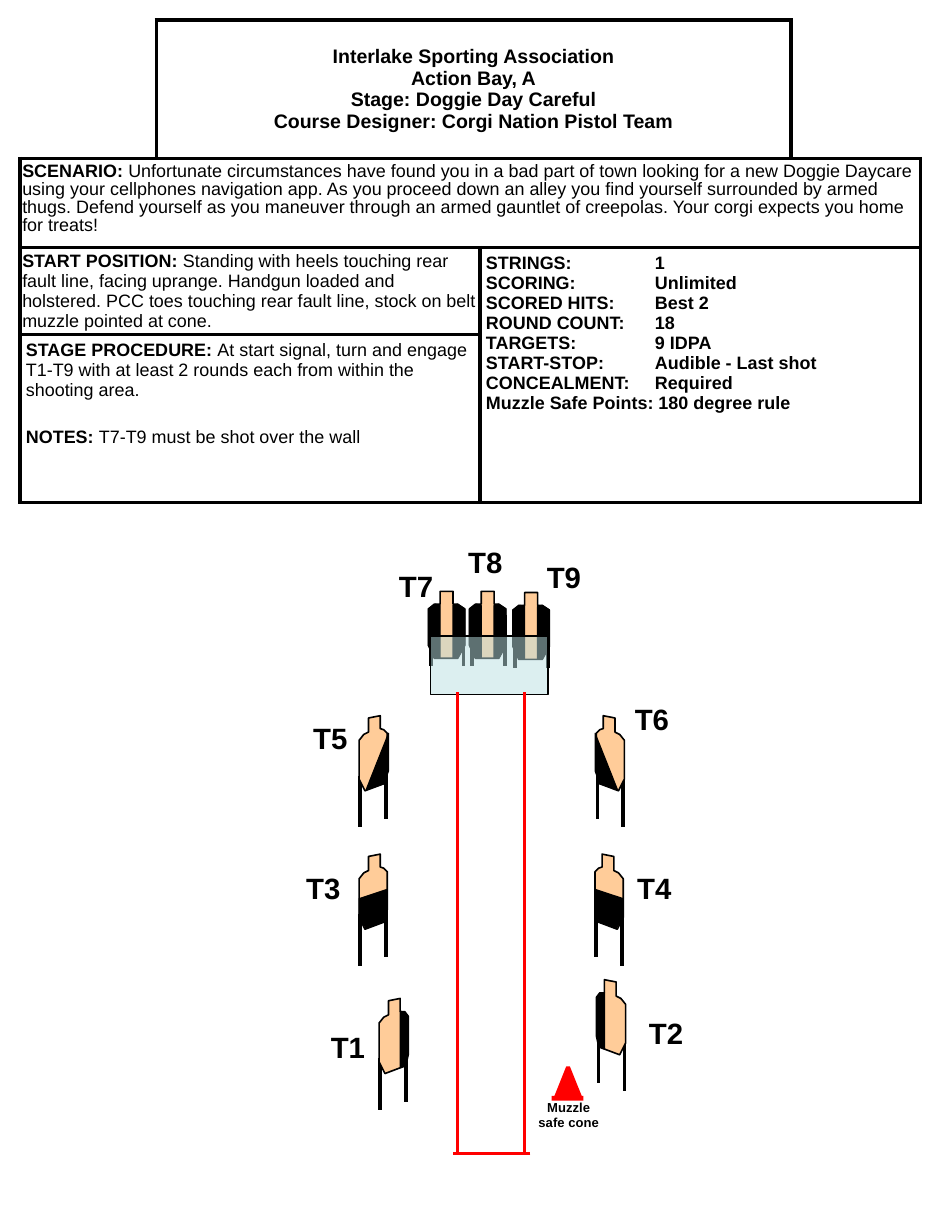
from lxml.etree import SubElement
from pptx import Presentation
from pptx.dml.color import RGBColor
from pptx.enum.shapes import MSO_CONNECTOR, MSO_SHAPE
from pptx.enum.text import MSO_ANCHOR, PP_ALIGN
from pptx.oxml import parse_xml
from pptx.oxml.ns import nsdecls, qn
from pptx.util import Pt

SCALE = 9144  # EMU in one px, at 100 px to the inch
BLACK, WHITE, RED = "000000", "FFFFFF", "FF0000"
TAN, GLASS = "FFCC99", "BBE0E3"


def color(code):
    return RGBColor.from_string(code)


def emu(*sizes):
    return [size * SCALE for size in sizes]


def flip(points, width):
    return [(width - x, y) for x, y in points]


class Sheet:
    font = {"name": "Arial", "bold": True}

    def __init__(self, slide):
        self.slide = slide
        self.home = slide.shapes

    def group(self):
        """Send the next shapes into a new group."""
        self.home = self.slide.shapes.add_group_shape().shapes

    def leave(self):
        """Send the next shapes straight to the slide."""
        self.home = self.slide.shapes

    def run(self, para, text, **style):
        run = para.add_run()
        run.text = text
        for key, value in {**self.font, **style}.items():
            setattr(run.font, key, value)
        run.font.color.rgb = color(BLACK)

    def paint(self, shape, fill, line=None, width=0):
        shape.shadow.inherit = False
        shape.fill.solid()
        shape.fill.fore_color.rgb = color(fill)
        if line is None:
            shape.line.fill.background()
        else:
            shape.line.color.rgb = color(line)
            shape.line.width = Pt(width)

    def shape(self, kind, box, fill, line=None, width=0):
        shape = self.home.add_shape(kind, *emu(*box))
        self.paint(shape, fill, line, width)
        return shape

    def line(self, start, end, code, width):
        line = self.home.add_connector(MSO_CONNECTOR.STRAIGHT, *emu(*start, *end))
        line.line.color.rgb = color(code)
        line.line.width = Pt(width)
        SubElement(line._element.spPr, qn("a:effectLst"))

    def free(self, left, top, points, fill, width):
        spots = [(left + x, top + y) for x, y in points]
        form = self.home.build_freeform(*spots[0], scale=SCALE)
        form.add_line_segments(spots[1:], close=True)
        self.paint(form.convert_to_shape(), fill, BLACK, width)

    def label(self, box, text, size, align=PP_ALIGN.LEFT):
        frame = self.home.add_textbox(*emu(*box)).text_frame
        frame.word_wrap = True
        frame.paragraphs[0].alignment = align
        self.run(frame.paragraphs[0], text, size=Pt(size))

    def target(self, left, top, body, dark, legs):
        """Draw a target: legs at the back, then the body and its dark parts."""
        self.group()
        for x, y in legs:
            self.line((left + x, top + y), (left + x, top + y + 44), BLACK, 2.25)
        self.free(left, top, body, TAN, 1)
        for part in dark:
            self.free(left, top, part, BLACK, 0)
        self.leave()

    def table(self, box, cols, rows):
        table = self.home.add_table(len(rows), len(cols), *emu(*box)).table
        table.first_row = table.horz_banding = False
        for col, size in zip(table.columns, emu(*cols)):
            col.width = size
        for row, size in zip(table.rows, emu(*rows)):
            row.height = size
        return table

    def border(self, cell, sides="LRTB"):
        cell.fill.solid()
        cell.fill.fore_color.rgb = color(WHITE)
        props = cell._tc.get_or_add_tcPr()
        for spot, side in enumerate("LRTB"):
            ink = f'<a:solidFill><a:srgbClr val="{BLACK}"/></a:solidFill>'
            fill = ink if side in sides else "<a:noFill/>"
            props.insert(spot, parse_xml(
                f'<a:ln{side} {nsdecls("a")} w="{Pt(2.25)}">{fill}</a:ln{side}>'))

    def prose(self, cell, paras, inset, size=11, gap=0, tab=0, **style):
        """Fill a cell; each paragraph is a list of (text, bold) runs."""
        for side, margin in zip(("left", "right", "top", "bottom"), emu(*inset)):
            setattr(cell, f"margin_{side}", margin)
        frame = cell.text_frame
        for spot, runs in enumerate(paras):
            para = frame.add_paragraph() if spot else frame.paragraphs[0]
            if tab:
                stops = SubElement(para._p.get_or_add_pPr(), qn("a:tabLst"))
                SubElement(stops, qn("a:tab"), pos=str(tab * SCALE), algn="l")
            if spot and gap:
                para.space_before = Pt(gap)
            for key, value in style.items():
                setattr(para, key, value)
            for text, bold in runs:
                self.run(para, text, size=Pt(size), bold=bold)


HEAD = ["Interlake Sporting Association", "Action Bay, A",
        "Stage: Doggie Day Careful", "Course Designer: Corgi Nation Pistol Team"]
SCENE = [("SCENARIO: ", True), (
    "Unfortunate circumstances have found you in a bad part of town looking for a new "
    "Doggie Daycare using your cellphones navigation app. As you proceed down an alley "
    "you find yourself surrounded by armed thugs. Defend yourself as you maneuver through "
    "an armed gauntlet of creepolas. Your corgi expects you home for treats!", False)]
START = [("START POSITION: ", True), (
    "Standing with heels touching rear fault line, facing uprange. Handgun loaded and "
    "holstered. PCC toes touching rear fault line, stock on belt muzzle pointed at cone.",
    False)]
STEPS = [("STAGE PROCEDURE: ", True), (
    "At start signal, turn and engage T1-T9 with at least 2 rounds each from within the "
    "shooting area.", False)]
NOTES = [("NOTES: ", True), ("T7-T9 must be shot over the wall", False)]
FACTS = ["STRINGS:\t1", "SCORING:\tUnlimited", "SCORED HITS:\tBest 2", "ROUND COUNT:\t18",
         "TARGETS:\t9 IDPA", "START-STOP:\tAudible - Last shot", "CONCEALMENT:\tRequired",
         "Muzzle Safe Points: 180 degree rule"]

FRONT = [(10, 0), (21, 0), (21, 11), (25, 11), (31, 15), (31, 46),
         (25, 57), (5, 57), (0, 46), (0, 15), (5, 11), (10, 11)]
EDGE = [(21, 12), (21, 57), (25, 57), (31, 46), (31, 15), (25, 11)]
SIDE = [(8, 2), (18, 0), (18, 11), (21, 12), (24, 15), (24, 47),
        (21, 58), (5, 64), (0, 54), (0, 21), (4, 16), (8, 14)]
HALF = [(0, 54), (6, 63), (20, 58), (24, 46), (24, 30), (0, 38)]
SLANT = [(6, 63), (21, 58), (25, 47), (25, 15)]
STRIP = [(25, 48), (23, 57), (18, 59), (18, 11), (22, 11), (25, 15)]
LEGS = [(1, 51), (23, 44)]
# dark part, left target, right target
PAIRS = [(HALF, (306, 728), (506, 728)), (STRIP, (323, 851), (508, 835)),
         (SLANT, (306, 610), (507, 610))]
TAGS = [(272, 872), (543, 860), (251, 737), (533, 737), (257, 609),
        (531, 593), (330, 479), (389, 459), (456, 472)]


def brief(sheet):
    table = sheet.table((17, 17, 767, 411), (116, 276, 265, 110), (118, 76, 74, 143))
    for top, left, bottom, right in [(0, 1, 0, 2), (1, 0, 1, 3), (2, 0, 2, 1),
                                     (2, 2, 3, 3), (3, 0, 3, 1)]:
        table.cell(top, left).merge(table.cell(bottom, right))
    outer = {(0, 0): "RB", (0, 3): "LB"}
    for row in range(4):
        for col in range(4):
            sheet.border(table.cell(row, col), outer.get((row, col), "LRTB"))
    wide = (5, 5, 5, 5)
    sheet.prose(table.cell(0, 1), [[(text, True)] for text in HEAD], wide, 12,
                alignment=PP_ALIGN.CENTER)
    table.cell(0, 1).vertical_anchor = MSO_ANCHOR.MIDDLE
    sheet.prose(table.cell(1, 0), [SCENE], (2, 2, 4, 4), line_spacing=0.9)
    sheet.prose(table.cell(2, 0), [START], (2, 2, 3, 3))
    sheet.prose(table.cell(2, 2), [[(text, True)] for text in FACTS], wide, tab=144)
    sheet.prose(table.cell(3, 0), [STEPS, NOTES], wide, gap=16.5)


def cone(sheet):
    sheet.group()
    sheet.shape(MSO_SHAPE.ISOSCELES_TRIANGLE, (472, 905, 24, 30), RED)
    sheet.shape(MSO_SHAPE.RECTANGLE, (478, 905, 12, 4), WHITE)
    sheet.shape(MSO_SHAPE.RECTANGLE, (470, 934, 27, 4), RED)
    sheet.label((447, 932, 75, 37), "Muzzle safe cone", 8, PP_ALIGN.CENTER)
    sheet.leave()


def bay(sheet):
    sheet.line((452, 983), (386, 983), RED, 2)
    cone(sheet)
    for left, top in [(437, 505), (400, 504), (365, 504)]:
        sheet.target(left, top, FRONT, [EDGE, flip(EDGE, 31)], [(2, 20), (30, 20)])
    wall = sheet.shape(MSO_SHAPE.RECTANGLE, (367, 542, 100, 50), GLASS, BLACK, 0.75)
    tint = wall._element.spPr.find(qn("a:solidFill")).find(qn("a:srgbClr"))
    SubElement(tint, qn("a:alpha"), val="50000")
    for x in (447, 390):
        sheet.line((x, 590), (x, 983), RED, 2)
    for dark, left, right in PAIRS:
        sheet.target(*left, SIDE, [dark], LEGS)
        sheet.target(*right, flip(SIDE, 25), [flip(dark, 25)], flip(LEGS, 25))
    for count, spot in enumerate(TAGS, 1):
        sheet.label((*spot, 58, 40), f"T{count}", 18)


def main():
    deck = Presentation()
    deck.slide_width, deck.slide_height = emu(800, 1050)
    sheet = Sheet(deck.slides.add_slide(deck.slide_layouts[6]))
    brief(sheet)
    bay(sheet)
    deck.save("out.pptx")


if __name__ == "__main__":
    main()
